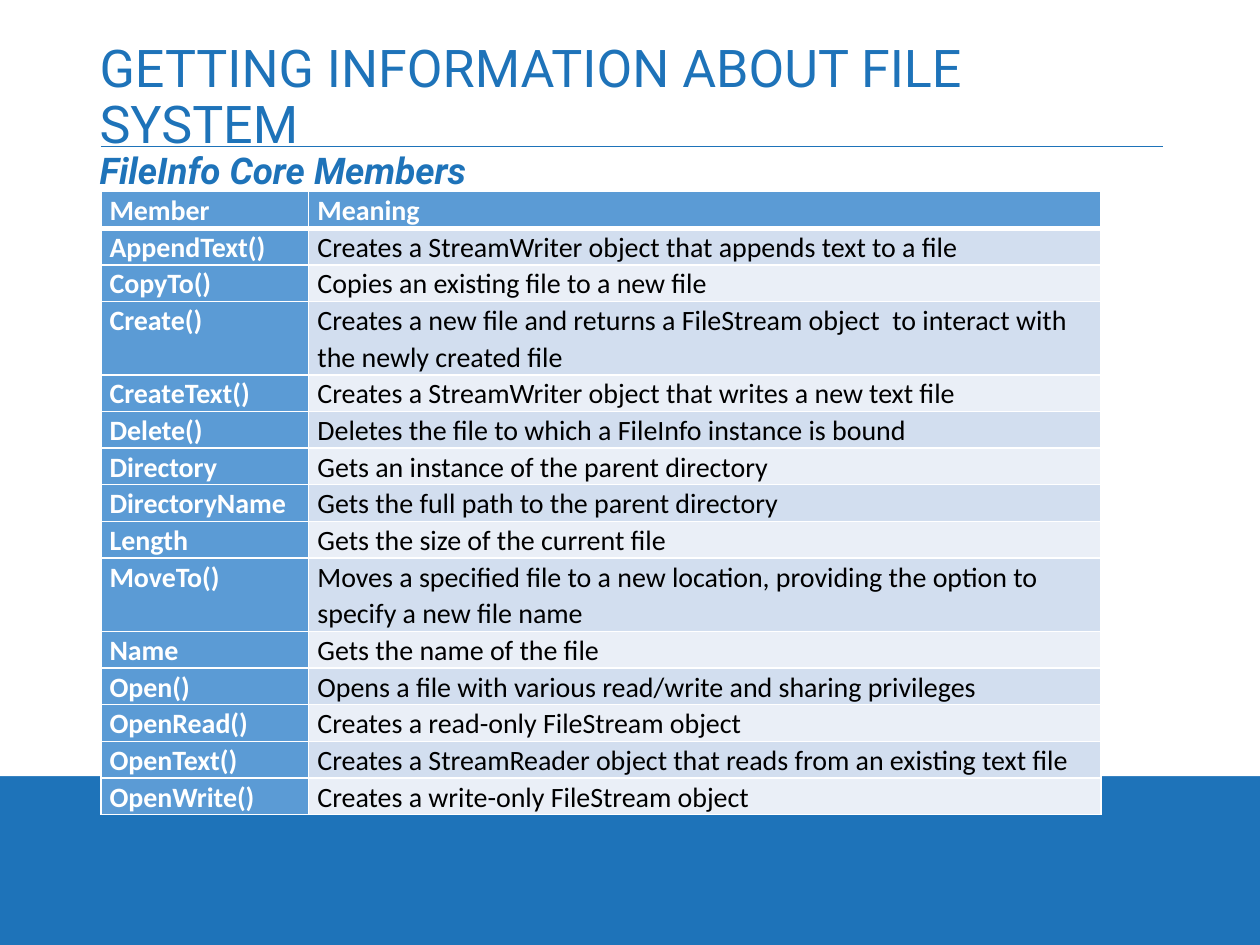
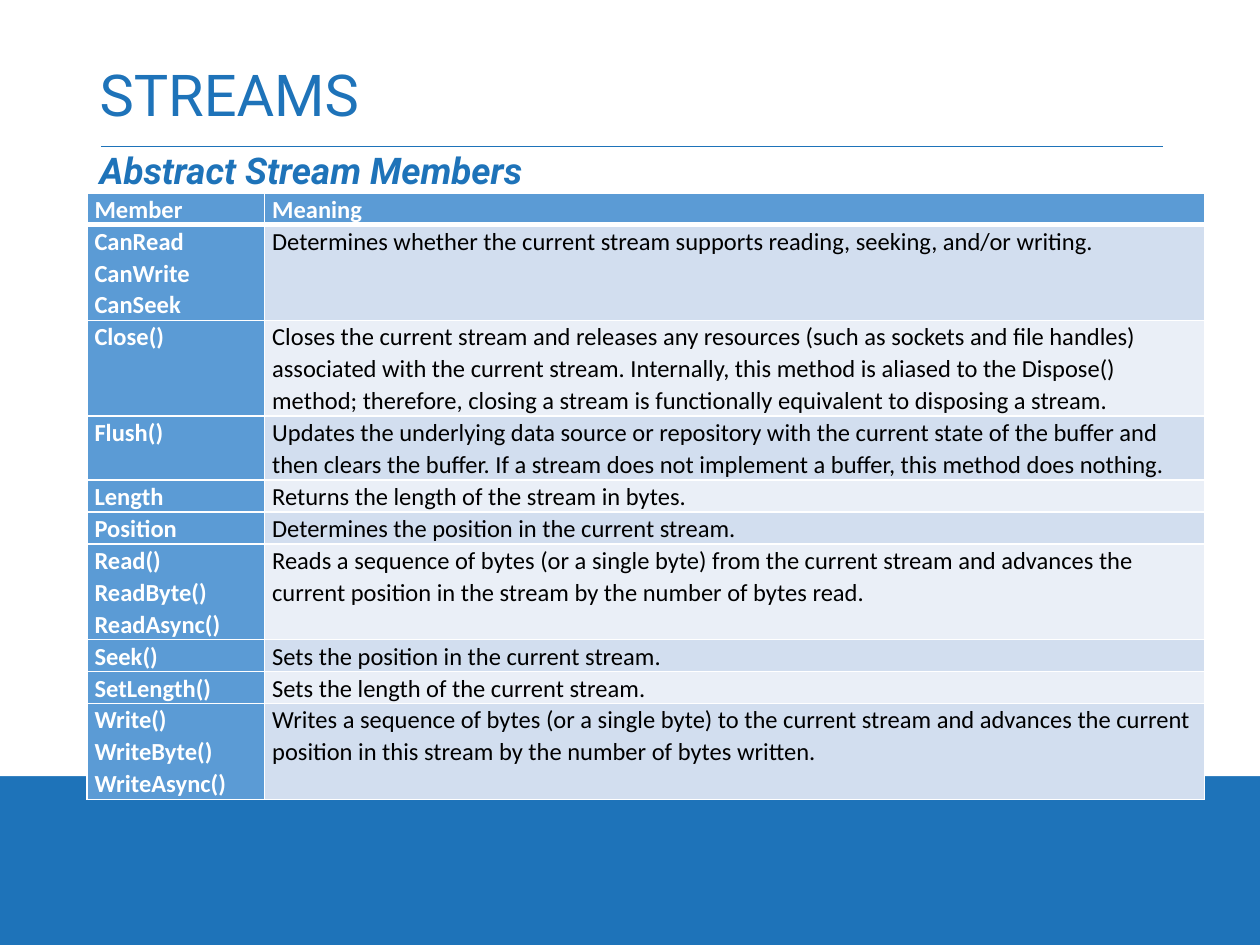
from dataclasses import dataclass

from lxml import etree
from pptx import Presentation
from pptx.dml.color import RGBColor
from pptx.enum.shapes import MSO_CONNECTOR, MSO_SHAPE
from pptx.enum.text import MSO_ANCHOR, MSO_AUTO_SIZE, PP_ALIGN
from pptx.oxml.ns import qn
from pptx.util import Inches, Pt

RECTANGLE = MSO_SHAPE.RECTANGLE
STRAIGHT = MSO_CONNECTOR.STRAIGHT
TOP, MIDDLE = MSO_ANCHOR.TOP, MSO_ANCHOR.MIDDLE
NO_AUTOFIT = MSO_AUTO_SIZE.NONE
LEFT = PP_ALIGN.LEFT
TITLE_AND_CONTENT = 1


@dataclass(frozen=True)
class Theme:
    """Colours, fonts and type sizes of the presentation."""
    brand: str = "1E73B9"
    white: str = "FFFFFF"
    text: str = "000000"
    header: str = "5B9BD5"
    bands: tuple = ("D2DEEF", "EAEFF7")
    heading_font: str = "Roboto"
    table_font: str = "Calibri"
    title_size: float = 33
    long_title_size: float = 29.7
    subtitle_size: float = 21
    large_table_size: float = 16
    small_table_size: float = 14
    border: float = 1
    header_border: float = 3


THEME = Theme()


class Deck:
    """Holds the style and the current slide, and adds elements to it."""

    def __init__(self, theme):
        """Open a blank presentation with the shared background."""
        self.theme = theme
        self.presentation = Presentation()
        self.presentation.slide_width = Inches(10)
        self.presentation.slide_height = Inches(7.5)
        self.layout = self.presentation.slide_layouts[TITLE_AND_CONTENT]
        self.paint(self.layout.background.fill, theme.brand)
        self.slide = None

    def paint(self, fill, colour):
        """Make a fill solid in one colour."""
        fill.solid()
        fill.fore_color.rgb = RGBColor.from_string(colour)

    def add_slide(self):
        """Start a slide; the first one also furnishes the layout."""
        first = self.slide is None
        self.slide = self.presentation.slides.add_slide(self.layout)
        if first:
            self.furnish_layout()

    def furnish_layout(self):
        """Put the white panel and the title rule behind the placeholders."""
        panel = self.slide.shapes.add_shape(
            RECTANGLE, 0, 0, Inches(10), Inches(6.16))
        panel.shadow.inherit = False
        self.paint(panel.fill, self.theme.white)
        panel.line.fill.background()

        rule = self.slide.shapes.add_connector(
            STRAIGHT, Inches(0.8), Inches(1.16), Inches(9.23), Inches(1.16))
        rule.line.color.rgb = RGBColor.from_string(self.theme.brand)
        rule.line.width = Pt(0.5)
        etree.SubElement(rule.element.spPr, qn("a:effectLst"))

        layout_tree = self.layout.shapes.element
        for position, part in enumerate((panel, rule), start=2):
            layout_tree.insert(position, part.element)

    def style_runs(self, paragraph, font, size, colour, bold=False, italic=False):
        """Format every run of a paragraph."""
        for run in paragraph.runs:
            run.font.name = font
            run.font.size = Pt(size)
            run.font.bold = bold
            run.font.italic = italic
            run.font.color.rgb = RGBColor.from_string(colour)

    def heading(self, placeholder, text, top, height, anchor, size, emphasis=False):
        """Move and fill a placeholder with one line of heading text."""
        placeholder.left, placeholder.top = Inches(0.69), Inches(top)
        placeholder.width, placeholder.height = Inches(8.62), Inches(height)
        frame = placeholder.text_frame
        frame.text = text
        frame.auto_size = NO_AUTOFIT
        frame.vertical_anchor = anchor
        paragraph = frame.paragraphs[0]
        paragraph.alignment = LEFT
        paragraph.line_spacing = 0.9
        self.style_runs(paragraph, self.theme.heading_font, size,
                        self.theme.brand, emphasis, emphasis)
        return paragraph

    def title(self, text, size):
        """Fill the title placeholder."""
        self.heading(self.slide.shapes.title, text, 0.4, 0.76, MIDDLE, size)

    def subtitle(self, text):
        """Fill the body placeholder with an unbulleted bold italic line."""
        paragraph = self.heading(self.slide.placeholders[1], text, 1.16, 4.75,
                                 TOP, self.theme.subtitle_size, emphasis=True)
        paragraph.space_before = Pt(7.5)
        properties = paragraph._p.get_or_add_pPr()
        properties.set("marL", "0")
        properties.set("indent", "0")
        etree.SubElement(properties, qn("a:buNone"))

    def borders(self, cell, top, bottom):
        """Draw white borders on the four sides of a cell."""
        properties = cell._tc.get_or_add_tcPr()
        widths = {"L": self.theme.border, "R": self.theme.border,
                  "T": top, "B": bottom}
        for position, (side, width) in enumerate(widths.items()):
            line = etree.Element(qn(f"a:ln{side}"), w=str(Pt(width)))
            fill = etree.SubElement(line, qn("a:solidFill"))
            etree.SubElement(fill, qn("a:srgbClr"), val=self.theme.white)
            properties.insert(position, line)

    def cell(self, cell, text, row, column, size, margin):
        """Fill one cell: header row and first column stand out."""
        theme = self.theme
        strong = row == 0 or column == 0
        cell.text_frame.text = text
        cell.margin_left = cell.margin_right = Inches(margin)
        cell.margin_top = cell.margin_bottom = 0
        self.paint(cell.fill, theme.header if strong else theme.bands[(row - 1) % 2])
        self.borders(cell,
                     top=theme.header_border if row == 1 else theme.border,
                     bottom=theme.header_border if row == 0 else theme.border)
        for paragraph in cell.text_frame.paragraphs:
            paragraph.line_spacing = 1.07
            self.style_runs(paragraph, theme.table_font, size,
                            theme.white if strong else theme.text, strong)

    def member_table(self, members, left, top, widths, row_height, tall_rows,
                     size, margin):
        """Add a table of members; tall_rows maps row numbers to heights."""
        rows = [("Member", "Meaning"), *members]
        heights = [tall_rows.get(number, row_height) for number in range(len(rows))]
        table = self.slide.shapes.add_table(
            len(rows), len(widths), Inches(left), Inches(top),
            Inches(sum(widths)), Inches(sum(heights))).table
        table.first_col = True
        for column, width in zip(table.columns, widths):
            column.width = Inches(width)
        for row, (texts, height) in enumerate(zip(rows, heights)):
            table.rows[row].height = Inches(height)
            for column, text in enumerate(texts):
                self.cell(table.cell(row, column), text, row, column, size, margin)


FILE_INFO_MEMBERS = [
    ("AppendText()", "Creates a StreamWriter object that appends text to a file"),
    ("CopyTo()", "Copies an existing file to a new file"),
    ("Create()", "Creates a new file and returns a FileStream object  to interact "
                 "with the newly created file"),
    ("CreateText()", "Creates a StreamWriter object that writes a new text file"),
    ("Delete()", "Deletes the file to which a FileInfo instance is bound"),
    ("Directory", "Gets an instance of the parent directory"),
    ("DirectoryName", "Gets the full path to the parent directory"),
    ("Length", "Gets the size of the current file"),
    ("MoveTo()", "Moves a specified file to a new location, providing the option "
                 "to specify a new file name"),
    ("Name", "Gets the name of the file"),
    ("Open()", "Opens a file with various read/write and sharing privileges"),
    ("OpenRead()", "Creates a read-only FileStream object"),
    ("OpenText()", "Creates a StreamReader object that reads from an existing "
                   "text file"),
    ("OpenWrite()", "Creates a write-only FileStream object"),
]

STREAM_MEMBERS = [
    ("CanRead\nCanWrite\nCanSeek",
     "Determines whether the current stream supports reading, seeking, and/or "
     "writing."),
    ("Close()",
     "Closes the current stream and releases any resources (such as sockets and "
     "file handles) associated with the current stream. Internally, this method "
     "is aliased to the Dispose() method; therefore, closing a stream is "
     "functionally equivalent to disposing a stream."),
    ("Flush()",
     "Updates the underlying data source or repository with the current state of "
     "the buffer and then clears the buffer. If a stream does not implement a "
     "buffer, this method does nothing."),
    ("Length", "Returns the length of the stream in bytes."),
    ("Position", "Determines the position in the current stream."),
    ("Read()\nReadByte()\nReadAsync()",
     "Reads a sequence of bytes (or a single byte) from the current stream and "
     "advances the current position in the stream by the number of bytes read."),
    ("Seek()", "Sets the position in the current stream."),
    ("SetLength()", "Sets the length of the current stream."),
    ("Write()\nWriteByte()\nWriteAsync()",
     "Writes a sequence of bytes (or a single byte) to the current stream and "
     "advances the current position in this stream by the number of bytes "
     "written."),
]


def file_info_slide(deck):
    """Build the slide on the FileInfo members."""
    deck.add_slide()
    deck.title("GETTING INFORMATION ABOUT FILE SYSTEM", THEME.long_title_size)
    deck.subtitle("FileInfo Core Members")
    deck.member_table(FILE_INFO_MEMBERS, left=0.8, top=1.52, widths=(1.65, 6.29),
                      row_height=0.27, tall_rows={3: 0.56, 9: 0.56},
                      size=THEME.large_table_size, margin=0.07)


def streams_slide(deck):
    """Build the slide on the abstract Stream members."""
    deck.add_slide()
    deck.title("STREAMS", THEME.title_size)
    deck.subtitle("Abstract Stream Members")
    deck.member_table(STREAM_MEMBERS, left=0.69, top=1.53, widths=(1.41, 7.46),
                      row_height=0.21,
                      tall_rows={1: 0.63, 2: 0.75, 3: 0.49, 6: 0.63, 9: 0.63},
                      size=THEME.small_table_size, margin=0.06)


def main():
    """Build both slides and save the presentation."""
    deck = Deck(THEME)
    file_info_slide(deck)
    streams_slide(deck)
    deck.presentation.save("out.pptx")


main()
